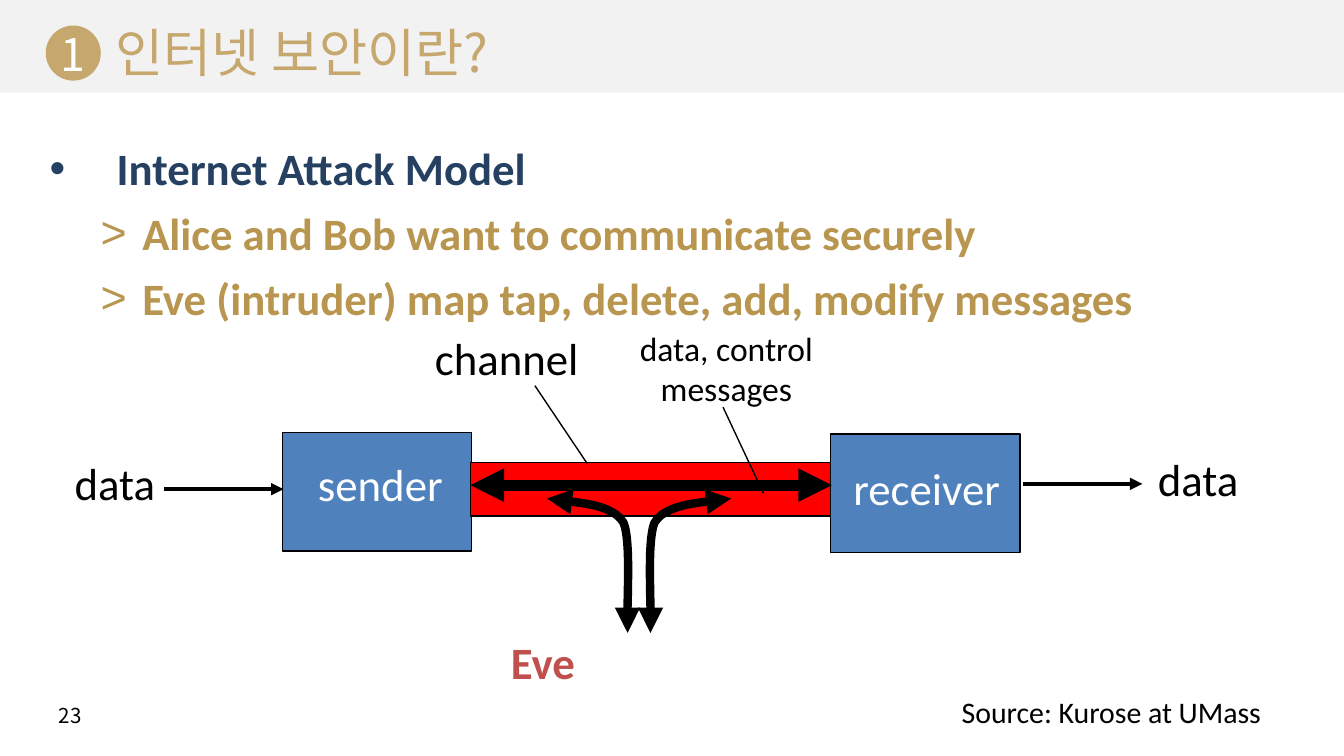
from lxml import etree
from pptx import Presentation
from pptx import util as u
from pptx.dml.color import RGBColor
from pptx.enum import shapes, text
from pptx.oxml.ns import qn

CALIBRI, KOREAN = "Calibri", "Noto Sans CJK KR"
NAVY, GOLD, SAND, BLACK, WHITE = "254061", "B9964F", "C6A86F", "000000", "FFFFFF"
LEFT, CENTER = text.PP_ALIGN.LEFT, text.PP_ALIGN.CENTER


def color(hex_string):
    return RGBColor.from_string(hex_string)


def style_line(shape, width, arrows=()):
    """Black line without shadow; arrows lists headEnd and/or tailEnd."""
    shape.line.color.rgb = color(BLACK)
    shape.line.width = u.Pt(width)
    properties = shape._element.spPr
    if properties.find(qn("a:effectLst")) is None:
        etree.SubElement(properties, qn("a:effectLst"))
    for end in arrows:
        etree.SubElement(properties.find(qn("a:ln")), qn("a:" + end), type="triangle")


prs = Presentation()
prs.slide_width = u.Inches(10)
prs.slide_height = u.Inches(10 * 9 / 16)
slide = prs.slides.add_slide(prs.slide_layouts[6])
slide.background.fill.solid()
slide.background.fill.fore_color.rgb = color("F2F2F2")

RECT, OVAL = shapes.MSO_SHAPE.RECTANGLE, shapes.MSO_SHAPE.OVAL
for kind, box, fill, outlined in [
    (RECT, (0, 0.69, 10, 4.94), WHITE, False),
    (OVAL, (0.34, 0.19, 0.41, 0.41), SAND, False),
    (RECT, (2.1, 3.22, 1.41, 0.88), "4F81BD", True),
    (RECT, (6.18, 3.23, 1.41, 0.88), "4F81BD", True),
    (RECT, (3.5, 3.44, 2.68, 0.4), "FF0000", True),
]:
    block = slide.shapes.add_shape(kind, *map(u.Inches, box))
    block.shadow.inherit = False
    block.fill.solid()
    block.fill.fore_color.rgb = color(fill)
    if outlined:
        style_line(block, 0.75)
    else:
        block.line.fill.background()

# Channel, data flow and leader lines
BOTH = ("headEnd", "tailEnd")
for x1, y1, x2, y2, width, arrows in [
    (3.98, 2.87, 4.37, 3.45, 0.75, ()),
    (3.5, 3.61, 6.19, 3.61, 6, BOTH),
    (5.38, 3.03, 5.68, 3.67, 0.75, ()),
    (1.22, 3.64, 2.11, 3.64, 2.25, ("tailEnd",)),
    (7.61, 3.6, 8.5, 3.6, 2.25, ("tailEnd",)),
]:
    link = slide.shapes.add_connector(
        shapes.MSO_CONNECTOR.STRAIGHT, *map(u.Inches, (x1, y1, x2, y2)))
    style_line(link, width, arrows)

# Eve's two taps mirror each other; each is two Bezier curves cut into short steps
TAP_CURVES = [
    [(0, 0), (0.1, 0.03), (0.47, 0.01), (0.57, 0.18)],
    [(0.57, 0.18), (0.63, 0.32), (0.59, 0.83), (0.6, 1)],
]
STEPS = 16
for start_x, direction in [(4.07, 1), (5.44, -1)]:
    points = []
    for curve in TAP_CURVES:
        for step in range(1, STEPS + 1):
            t = step / STEPS
            weights = ((1 - t) ** 3, 3 * t * (1 - t) ** 2, 3 * t * t * (1 - t), t ** 3)
            dx, dy = (sum(w * p[axis] for w, p in zip(weights, curve)) for axis in (0, 1))
            points.append((u.Inches(start_x + direction * dx), u.Inches(3.71 + dy)))
    builder = slide.shapes.build_freeform(u.Inches(start_x), u.Inches(3.71))
    builder.add_line_segments(points, close=False)
    tap = builder.convert_to_shape()
    tap.shadow.inherit = False
    tap.fill.background()
    style_line(tap, 4.5, BOTH)

# Heading, diagram labels and footer
TOP, MIDDLE, BOTTOM = text.MSO_ANCHOR.TOP, text.MSO_ANCHOR.MIDDLE, text.MSO_ANCHOR.BOTTOM
for words, box, size, font_name, ink, align, anchor, wrap in [
    ("인터넷 보안이란?", (0.76, 0.09, 8.97, 0.58), 28, KOREAN, SAND, LEFT, BOTTOM, True),
    ("1", (0.34, 0.19, 0.41, 0.41), 24, KOREAN, WHITE, CENTER, MIDDLE, False),
    ("sender", (2.26, 3.35, 1.14, 0.5), 24, CALIBRI, WHITE, CENTER, TOP, False),
    ("receiver", (6.24, 3.38, 1.31, 0.5), 24, CALIBRI, WHITE, CENTER, TOP, False),
    ("channel", (3.13, 2.41, 1.28, 0.5), 24, CALIBRI, BLACK, CENTER, TOP, False),
    ("data, control messages", (4.37, 2.39, 2.07, 0.7), 18, CALIBRI, BLACK, CENTER, TOP, True),
    ("data", (0.45, 3.34, 0.81, 0.5), 24, CALIBRI, BLACK, CENTER, TOP, False),
    ("data", (8.51, 3.31, 0.81, 0.5), 24, CALIBRI, BLACK, CENTER, TOP, False),
    ("Eve", (3.7, 4.67, 0.68, 0.5), 24, CALIBRI, "C0504D", CENTER, TOP, False),
    ("Source: Kurose at UMass", (7.04, 5.11, 2.46, 0.37), 16, CALIBRI, BLACK, CENTER, TOP, False),
    ("23", (0.34, 5.18, 2.25, 0.3), 11, KOREAN, BLACK, LEFT, TOP, True),
]:
    frame = slide.shapes.add_textbox(*map(u.Inches, box)).text_frame
    frame.word_wrap = wrap
    frame.vertical_anchor = anchor
    label = frame.paragraphs[0]
    label.text = words
    label.alignment = align
    label.font.size = u.Pt(size)
    label.font.name = font_name
    label.font.bold = words == "Eve"
    label.font.color.rgb = color(ink)
    defaults = label._p.pPr.find(qn("a:defRPr"))
    etree.SubElement(defaults, qn("a:ea"), typeface=font_name)

# Attack model points
outline = slide.shapes.add_textbox(*map(u.Inches, (0.27, 1, 9.45, 4.17))).text_frame
outline.word_wrap = True
for index, (words, level, margin, indent, bullet, ink) in enumerate([
    ("Internet Attack Model", 0, 0.5, -0.5, "•", NAVY),
    ("Alice and Bob want to communicate securely", 1, 0.69, -0.31, ">", GOLD),
    ("Eve (intruder) map tap, delete, add, modify messages", 1, 0.69, -0.31, ">", GOLD),
]):
    point = outline.add_paragraph() if index else outline.paragraphs[0]
    point.text = words
    point.level = level
    if index:
        point.space_before = u.Pt(6)
    properties = point._p.get_or_add_pPr()
    properties.set("marL", str(u.Inches(margin)))
    properties.set("indent", str(u.Inches(indent)))
    etree.SubElement(properties, qn("a:buFont"), typeface="Arial")
    etree.SubElement(properties, qn("a:buChar"), char=bullet)
    point.font.size = u.Pt(24)
    point.font.name = CALIBRI
    point.font.bold = True
    point.font.color.rgb = color(ink)

prs.save("out.pptx")
